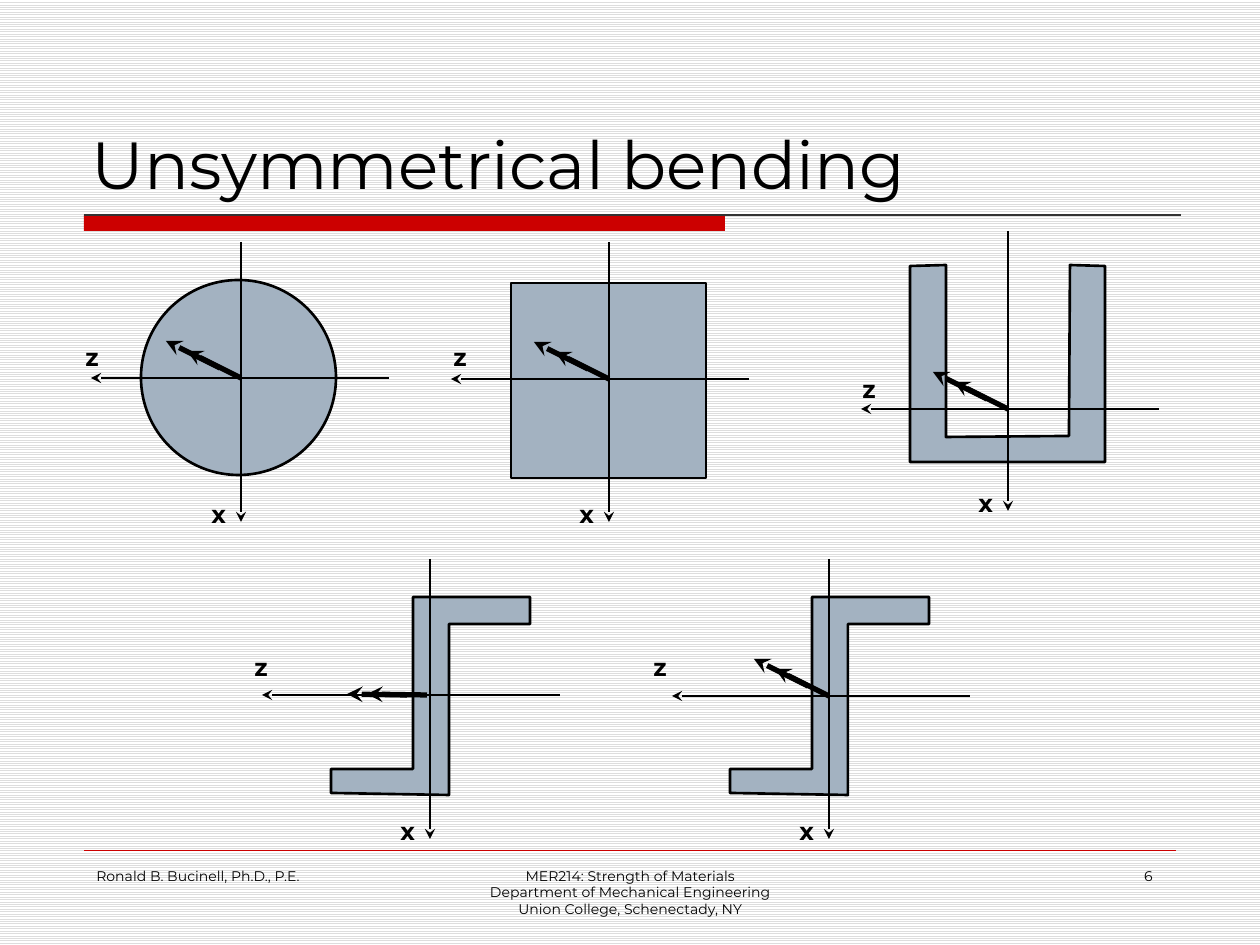
from lxml import etree
from pptx import Presentation
from pptx.dml.color import RGBColor
from pptx.enum.dml import MSO_PATTERN
from pptx.enum.shapes import MSO_CONNECTOR, MSO_SHAPE
from pptx.enum.text import MSO_ANCHOR, PP_ALIGN
from pptx.oxml.ns import qn
from pptx.util import Emu, Pt

STRAIGHT = MSO_CONNECTOR.STRAIGHT
RECTANGLE, ELLIPSE = MSO_SHAPE.RECTANGLE, MSO_SHAPE.OVAL
LEFT, CENTER, RIGHT = PP_ALIGN.LEFT, PP_ALIGN.CENTER, PP_ALIGN.RIGHT
TOP, BOTTOM = MSO_ANCHOR.TOP, MSO_ANCHOR.BOTTOM
SCALE = 914400 / 126  # EMU per px

THEME = {
    "font": "Montserrat",
    "ink": RGBColor(0x00, 0x00, 0x00),
    "section": RGBColor(0xA3, 0xB2, 0xC1),
    "accent": RGBColor(0xCC, 0x00, 0x00),
    "rule": RGBColor(0x33, 0x33, 0x33),
    "stripe": RGBColor(0xDD, 0xDD, 0xDD),
    "paper": RGBColor(0xFF, 0xFF, 0xFF),
    "title": 38,
    "label": 14,
    "footer": 8,
}

presentation = Presentation()
presentation.slide_width = Emu(round(1260 * SCALE))
presentation.slide_height = Emu(round(945 * SCALE))
slide = presentation.slides.add_slide(presentation.slide_layouts[6])
shapes = slide.shapes


def add_text(text, *box, size, bold=False, align=LEFT, anchor=TOP, wrap=True):
    """Box is left, top, width, height in px; each line is a paragraph."""
    frame = shapes.add_textbox(*[Emu(round(v * SCALE)) for v in box]).text_frame
    frame.word_wrap = wrap
    frame.vertical_anchor = anchor
    if not wrap:
        frame.margin_right = 0
    frame.text = text
    for paragraph in frame.paragraphs:
        paragraph.alignment = align
        for run in paragraph.runs:
            run.font.name = THEME["font"]
            run.font.size = Pt(size)
            run.font.bold = bold
            run.font.color.rgb = THEME["ink"]


def add_line(*ends, color=THEME["ink"], width=1.5, arrow=True):
    """Ends are x1, y1, x2, y2 in px; the arrowhead is at the second end."""
    line = shapes.add_connector(STRAIGHT, *[Emu(round(v * SCALE)) for v in ends])
    line.line.color.rgb = color
    line.line.width = Pt(width)
    if arrow:
        outline = line.line._get_or_add_ln()
        etree.SubElement(outline, qn("a:tailEnd"), type="stealth")
    etree.SubElement(line._element.spPr, qn("a:effectLst"))


# Background, title and footer
background = slide.background.fill
background.patterned()
background.pattern = MSO_PATTERN.LIGHT_HORIZONTAL
background.fore_color.rgb = THEME["stripe"]
background.back_color.rgb = THEME["paper"]

title_bar = shapes.add_shape(
    RECTANGLE, *[Emu(round(v * SCALE)) for v in (84, 215, 641, 16)])
title_bar.shadow.inherit = False
title_bar.fill.solid()
title_bar.fill.fore_color.rgb = THEME["accent"]
title_bar.line.fill.background()
add_line(84, 215, 1181, 215, color=THEME["rule"], width=0.75, arrow=False)
add_line(84, 850, 1176, 850, color=THEME["accent"], width=0.25, arrow=False)

add_text("Unsymmetrical bending", 79, 42, 1103, 167,
         size=THEME["title"], anchor=BOTTOM)
footers = [
    ("Ronald B. Bucinell, Ph.D., P.E.", 84, 262, LEFT),
    ("MER214: Strength of Materials\nDepartment of Mechanical Engineering\n"
     "Union College, Schenectady, NY", 431, 399, CENTER),
    ("6", 903, 262, RIGHT),
]
for text, left, width, align in footers:
    add_text(text, left, 861, width, 63, size=THEME["footer"], align=align)

# Cross-sections
sections = []
for preset, left, top in [(ELLIPSE, 141, 280), (RECTANGLE, 511, 283)]:
    box = [Emu(round(v * SCALE)) for v in (left, top, 195, 195)]
    sections.append(shapes.add_shape(preset, *box))

channel = [(910, 266), (910, 462), (1105, 462), (1105, 266),
           (1070, 265), (1069, 436), (946, 437), (946, 265)]
z_section = [(530, 597), (413, 597), (413, 769), (331, 769),
             (331, 793), (449, 795), (449, 624), (530, 624)]
second_z_section = [(x + 399, y) for x, y in z_section]
for points in (channel, z_section, second_z_section):
    builder = shapes.build_freeform(*points[0], scale=SCALE)
    builder.add_line_segments(points[1:], close=True)
    sections.append(builder.convert_to_shape())

for section in sections:
    section.shadow.inherit = False
    section.fill.solid()
    section.fill.fore_color.rgb = THEME["section"]
    section.line.color.rgb = THEME["ink"]
    section.line.width = Pt(1.5)

# Axes, labels and moment vectors
X_AXIS, Z_AXIS = 280, 298
INCLINED = [(0, 0, -54, -27), (-21, -10, -75, -37)]
HORIZONTAL = [(-3, 0, -63, -1), (-23, 0, -83, -1)]
# origin x and y, top of x axis, tip of z axis, z label left and top, moment
figures = [
    (241, 378, 242, 91, 73, 336, INCLINED),
    (609, 379, 242, 451, 441, 336, INCLINED),
    (1008, 409, 231, 861, 850, 368, INCLINED),
    (430, 695, 559, 262, 242, 646, HORIZONTAL),
    (829, 696, 559, 672, 641, 646, INCLINED),
]
for x, y, axis_top, z_tip, z_left, z_top, moment in figures:
    x_tip = axis_top + X_AXIS
    add_line(x, axis_top, x, x_tip)
    add_line(z_tip + Z_AXIS, y, z_tip, y)
    for text, left, top in [("z", z_left, z_top), ("x", x - 42, x_tip - 29)]:
        add_text(text, left, top, 35, 37,
                 size=THEME["label"], bold=True, wrap=False)
    for x1, y1, x2, y2 in moment:
        add_line(x + x1, y + y1, x + x2, y + y2, width=3)

presentation.save("out.pptx")
